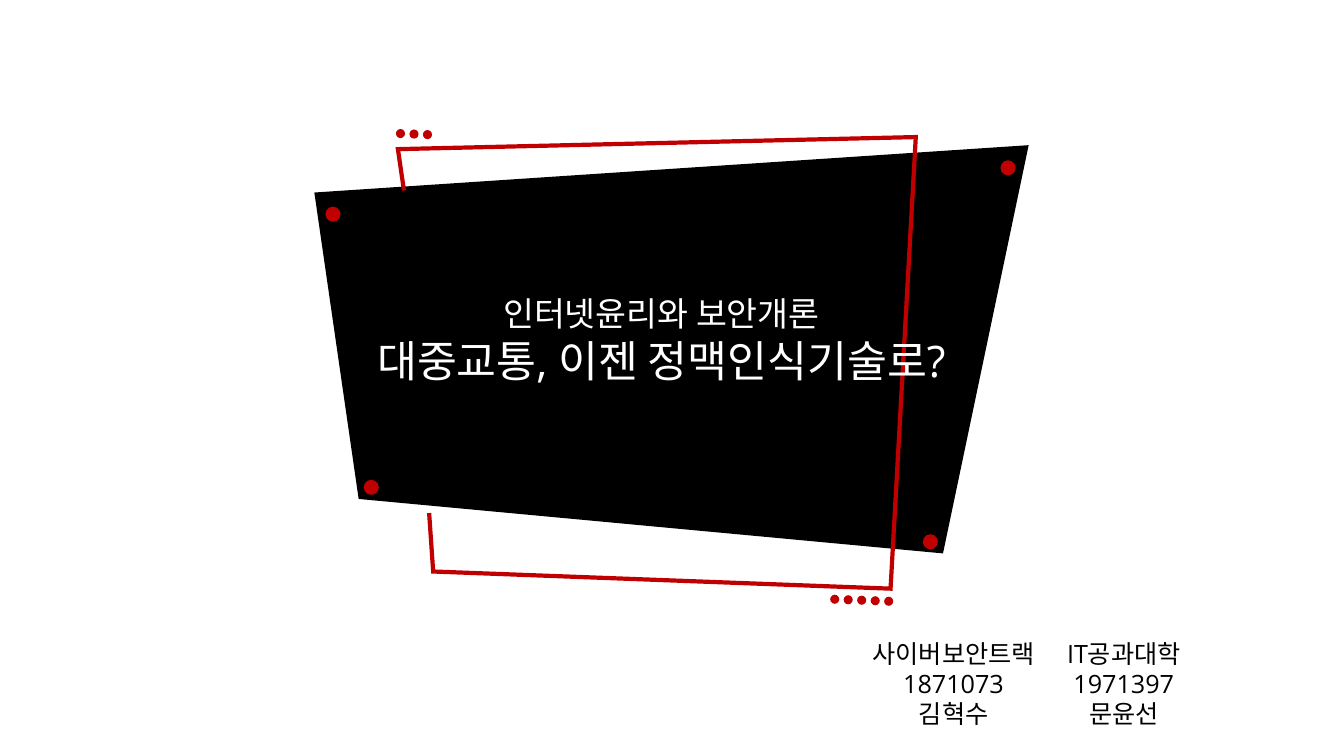
from pptx import Presentation
from pptx.dml.color import RGBColor
from pptx.enum.shapes import MSO_SHAPE
from pptx.enum.text import MSO_ANCHOR, MSO_AUTO_SIZE, PP_ALIGN
from pptx.oxml.xmlchemy import OxmlElement
from pptx.util import Inches, Pt

HUES = {"ink": "000000", "red": "C00000", "paper": "FFFFFF"}


def hue(name):
    return RGBColor.from_string(HUES[name])


def write(frame, lines, sizes, color="ink", font="Open Sans", wrap=True):
    frame.word_wrap = wrap
    frame.auto_size = MSO_AUTO_SIZE.NONE
    frame.vertical_anchor = MSO_ANCHOR.TOP
    for i, (line, size) in enumerate(zip(lines, sizes)):
        para = frame.paragraphs[0] if i == 0 else frame.add_paragraph()
        para.alignment = PP_ALIGN.CENTER
        run = para.add_run()
        run.text = line
        run.font.name = font
        run.font.size = Pt(size)
        run.font.color.rgb = hue(color)


class Cover:
    """Draws the parts of a cover slide in one style."""

    def __init__(self, deck):
        self.slide = deck.slides.add_slide(deck.slide_layouts[5])
        self.shapes = self.slide.shapes

    def outline(self, points, fill=None, line=None, width=3):
        spots = [(Inches(x), Inches(y)) for x, y in points]
        pen = self.shapes.build_freeform(*spots[0])
        pen.add_line_segments(spots[1:], close=fill is not None)
        shape = pen.convert_to_shape()
        shape.shadow.inherit = False
        if fill:
            shape.fill.solid()
            shape.fill.fore_color.rgb = hue(fill)
        else:
            shape.fill.background()
        if line:
            shape.line.color.rgb = hue(line)
            shape.line.width = Pt(width)
            miter = OxmlElement("a:miter")
            miter.set("lim", "800000")
            shape.line.fill
            shape.element.spPr.find(miter.tag.replace("miter", "ln")).append(miter)
        else:
            shape.line.fill.background()

    def dot(self, left, top, size):
        dot = self.shapes.add_shape(
            MSO_SHAPE.OVAL, Inches(left), Inches(top), Inches(size), Inches(size))
        dot.shadow.inherit = False
        dot.fill.solid()
        dot.fill.fore_color.rgb = hue("red")
        dot.line.fill.background()

    def row(self, left, top, count, drop):
        for i in range(count):
            self.dot(left + i * 0.134, top + i * drop, 0.09)

    def title(self, box, lines, sizes):
        title = self.shapes.title
        title.left, title.top, title.width, title.height = map(Inches, box)
        write(title.text_frame, lines, sizes, color="paper", wrap=False)
        title.element.getparent().append(title.element)

    def text(self, box, lines, size=18):
        area = self.shapes.add_textbox(*map(Inches, box))
        write(area.text_frame, lines, [size] * len(lines))


def main():
    deck = Presentation()
    deck.slide_width, deck.slide_height = Inches(13.34), Inches(7.5)
    cover = Cover(deck)
    cover.outline([(3.12, 1.91), (3.56, 4.95), (9.36, 5.49), (10.21, 1.44)], fill="ink")
    cover.outline([(4.01, 1.89), (3.95, 1.48), (9.09, 1.36), (8.84, 5.84),
                   (4.3, 5.67), (4.26, 5.09)], line="red")
    for left, top in [(3.23, 2.05), (3.61, 4.76), (9.16, 5.3), (9.93, 1.59)]:
        cover.dot(left, top, 0.15)
    cover.row(8.24, 5.9, 5, 0.005)
    cover.row(3.93, 1.28, 3, 0.005)
    cover.title((3.46, 2.86, 6.21, 1.02),
                ["인터넷윤리와 보안개론", "대중교통, 이젠 정맥인식기술로?"], [24, 31])
    cover.text((8.37, 6.28, 2.19, 1), ["사이버보안트랙", "1871073", "김혁수"])
    cover.text((10.19, 6.28, 1.93, 1), ["IT공과대학", "1971397", "문윤선"])
    deck.save("out.pptx")


if __name__ == "__main__":
    main()
